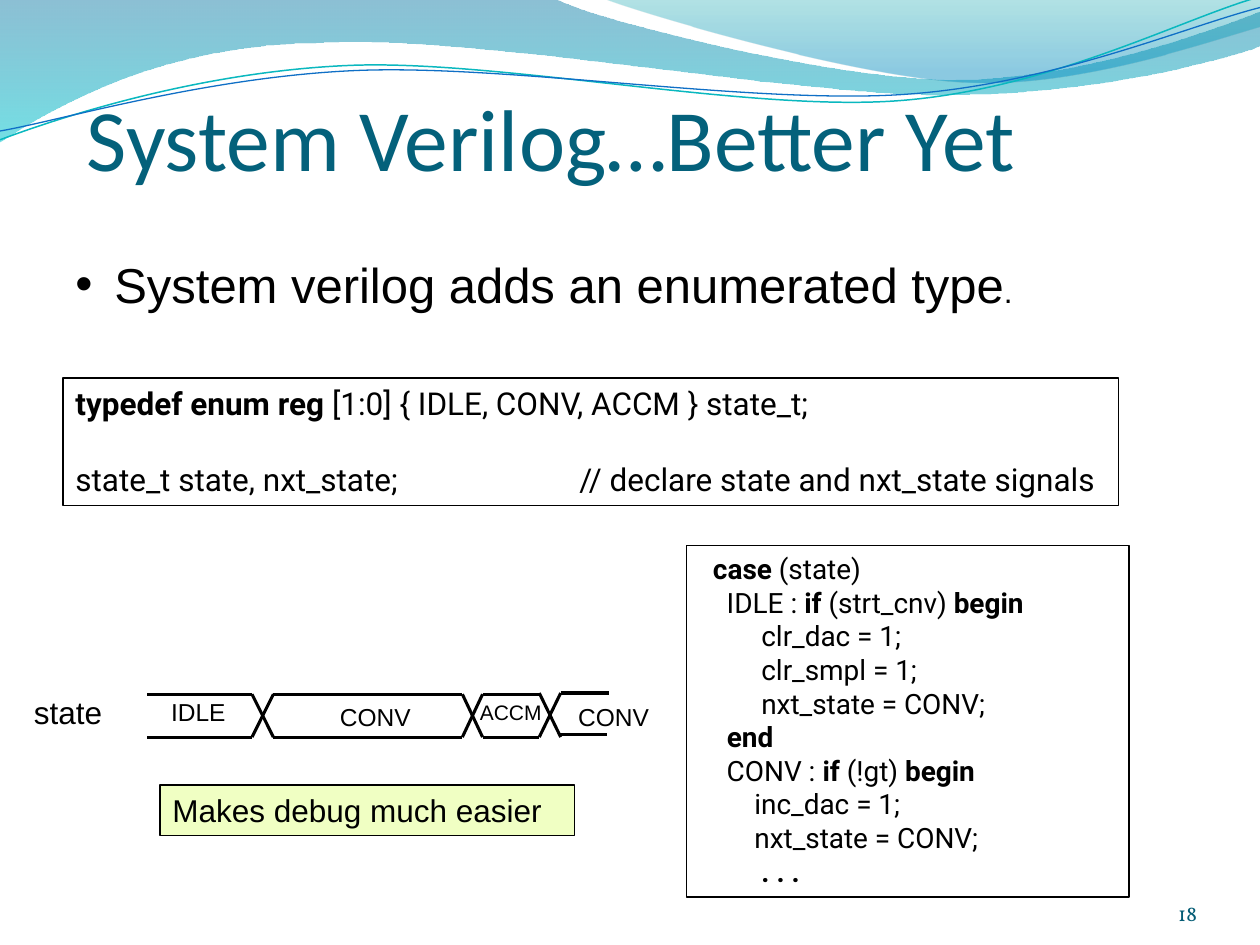
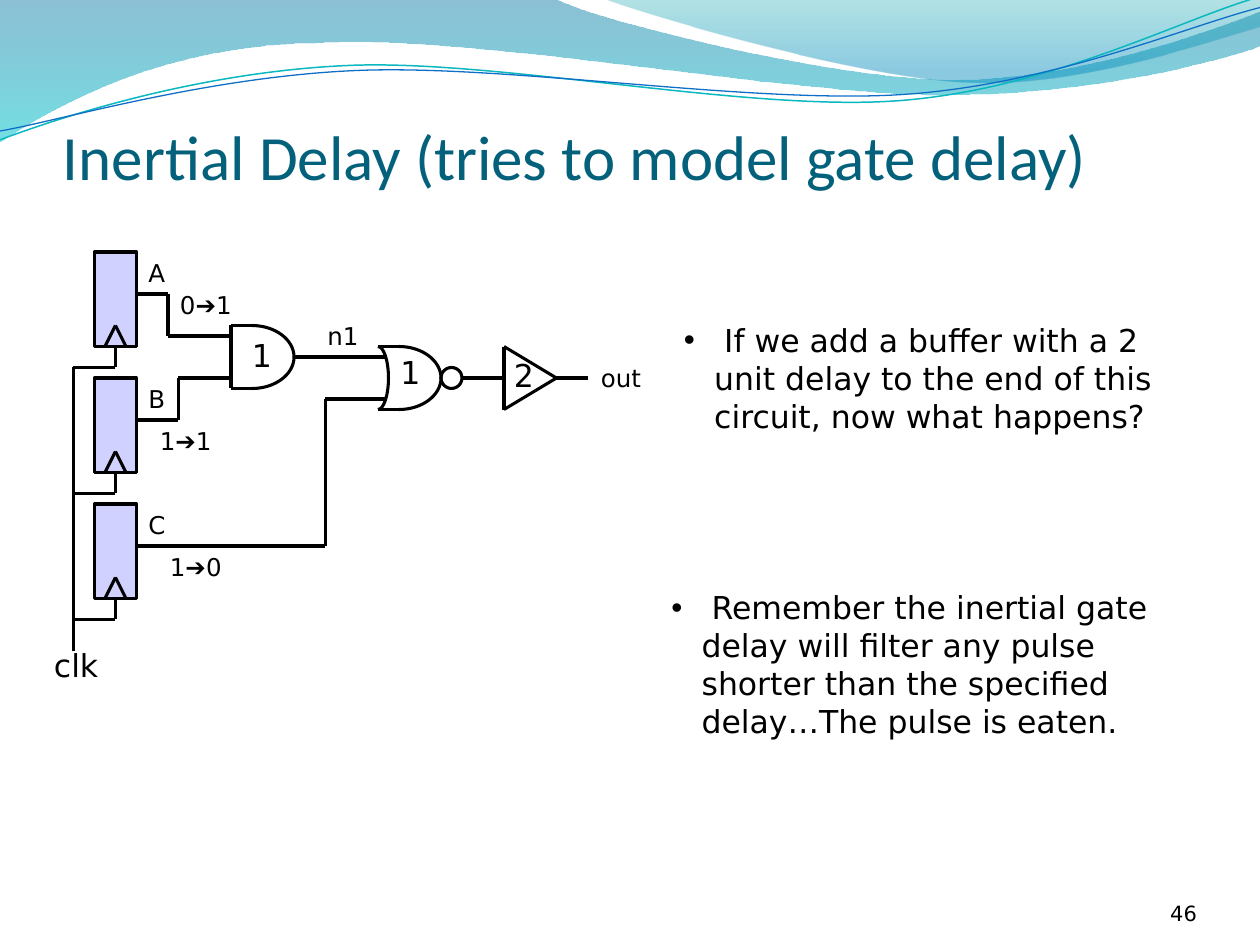
from lxml import etree
from pptx import Presentation
from pptx.dml.color import RGBColor
from pptx.enum.shapes import MSO_CONNECTOR, MSO_SHAPE
from pptx.enum.text import MSO_ANCHOR, MSO_AUTO_SIZE, PP_ALIGN
from pptx.oxml.ns import qn
from pptx.util import Inches, Pt

STRAIGHT = MSO_CONNECTOR.STRAIGHT
RECTANGLE, OVAL = MSO_SHAPE.RECTANGLE, MSO_SHAPE.OVAL
TOP, BOTTOM = MSO_ANCHOR.TOP, MSO_ANCHOR.BOTTOM
LEFT, RIGHT = PP_ALIGN.LEFT, PP_ALIGN.RIGHT
GROW, FIXED = MSO_AUTO_SIZE.SHAPE_TO_FIT_TEXT, MSO_AUTO_SIZE.NONE
BOTTOM_SITE = 2

COLORS = {
    "ink": "000000", "title": "04617B", "page": "045C75",
    "register": "6969FF", "note": "D1FF47",
    "wave_blue": "0074A1", "wave_cyan": "00C6CF",
    "crest_teal": "00A1A9", "crest_blue": "008BBF",
    "line_teal": "0AB8BF", "line_blue": "0F6FC6",
}
SANS, CODE, DIAGRAM = "Arial", "Roboto", "DejaVu Sans"
STROKE = 1.75
BOX_INSETS = (0.1, 0.05, 0.1, 0.05)
GRID = 12  # the circuit lies on a grid of twelfths of an inch

# Each step is a corner (x, y) or a cubic curve (x1, y1, x2, y2, x, y).
BAND = [(0, -0.01), (4.4, -0.01), (4.76, 0.17, 6.64, 0.63, 7.58, 0.63),
        (8.53, 0.63, 9.58, 0.26, 10, 0.09), (10.01, 0.36),
        (9.83, 0.44, 8.7, 0.76, 7.46, 0.75), (6.22, 0.75, 3.82, 0.28, 2.57, 0.34),
        (1.29, 0.35, 0.46, 0.83, -0.01, 1.13)]
CREST = [(4.79, -0.01), (5.09, 0.11, 6.82, 0.62, 7.69, 0.65),
         (8.56, 0.69, 9.61, 0.32, 10, 0.21), (10, 0)]
TEAL_LINE = [(0, 1.11), (0.48, 0.93, 1.58, 0.57, 2.77, 0.52),
             (3.95, 0.47, 5.93, 0.89, 7.13, 0.8), (8.33, 0.71, 9.38, 0.15, 9.98, -0.02)]
BLUE_LINE = [(0, 1.04), (0.47, 0.96, 1.64, 0.61, 2.83, 0.56),
             (4.03, 0.51, 5.97, 0.83, 7.17, 0.75), (8.36, 0.67, 9.41, 0.21, 10, 0.06)]

TYPEDEF = ["*typedef enum reg *[1:0] { IDLE, CONV, ACCM } state_t;",
           "state_t state, nxt_state;\t// declare state and nxt_state signals"]
CASE = ["*  case* (state)",
        "    IDLE : *if *(strt_cnv) *begin*",
        "         clr_dac = 1;",
        "         clr_smpl = 1;",
        "         nxt_state = CONV;",
        "    *end*",
        "    CONV : *if *(!gt) *begin*",
        "        inc_dac = 1;",
        "        nxt_state = CONV;",
        "         *. . .*"]


def rgb(name):
    return RGBColor.from_string(COLORS[name])


def set_alpha(shape, *percents):
    """Give the fill colours of a shape their opacity, in order."""
    colors = shape._element.spPr.xpath("./a:solidFill/a:srgbClr | ./a:gradFill//a:srgbClr")
    for color, percent in zip(colors, percents):
        etree.SubElement(color, qn("a:alpha")).set("val", str(percent * 1000))


def style_line(line, color="ink", width=STROKE):
    line.color.rgb = rgb(color)
    line.width = Pt(width)


def bend(outline, steps):
    """Turn each three segments that stand for a curve into one cubic curve."""
    segments = iter(outline._element.xpath(".//a:lnTo"))
    for step in steps[1:]:
        first = next(segments)
        if len(step) == 2:
            continue
        curve = etree.Element(qn("a:cubicBezTo"))
        first.addprevious(curve)
        for segment in (first, next(segments), next(segments)):
            curve.append(segment[0])
            segment.getparent().remove(segment)


def add_outline(slide, steps, close=False, color="ink", width=STROKE):
    points = [(Inches(x), Inches(y)) for step in steps
              for x, y in zip(step[::2], step[1::2])]
    builder = slide.shapes.build_freeform(*points[0])
    builder.add_line_segments(points[1:], close=close)
    outline = builder.convert_to_shape()
    bend(outline, steps)
    outline.shadow.inherit = False
    outline.fill.background()
    style_line(outline.line, color, width)
    return outline


def add_wave(slide, steps, stops):
    """Fill an outline downwards; each stop is position, colour, opacity."""
    wave = add_outline(slide, steps, close=True)
    wave.line.fill.background()
    wave.fill.gradient()
    wave.fill.gradient_angle = 270
    for stop, (position, color, _) in zip(wave.fill.gradient_stops, stops):
        stop.position = position
        stop.color.rgb = rgb(color)
    set_alpha(wave, *(opacity for _, _, opacity in stops))


def add_shape(slide, kind, box, fill=None, alpha=100, width=STROKE):
    shape = slide.shapes.add_shape(kind, *map(Inches, box))
    shape.shadow.inherit = False
    if fill:
        shape.fill.solid()
        shape.fill.fore_color.rgb = rgb(fill)
        set_alpha(shape, alpha)
    else:
        shape.fill.background()
    style_line(shape.line, width=width)
    return shape


def add_wire(slide, *points, source=None, grid=1):
    """Join points by straight lines, the first one from the bottom of source."""
    for start, end in zip(points, points[1:]):
        ends = [Inches(value / grid) for value in start + end]
        wire = slide.shapes.add_connector(STRAIGHT, *ends)
        etree.SubElement(wire._element.spPr, qn("a:effectLst"))
        style_line(wire.line)
        if source is not None:
            wire.begin_connect(source, BOTTOM_SITE)
            source = None


def add_arc(slide, left, edge, width, axis):
    """Draw a quarter ellipse from (left, edge) to its tip on the axis, in grid units."""
    right = left + width
    steps = [(left, edge), (left + 0.55 * width, edge,
                            right, edge + 0.45 * (axis - edge), right, axis)]
    add_outline(slide, [[value / GRID for value in step] for step in steps])


def set_bullet(paragraph, indent):
    properties = paragraph._p.get_or_add_pPr()
    properties.set("marL", str(Inches(indent)))
    properties.set("indent", str(-Inches(indent)))
    etree.SubElement(properties, qn("a:buFont")).set("typeface", SANS)
    etree.SubElement(properties, qn("a:buChar")).set("char", "•")


def set_tab(paragraph, position):
    tabs = etree.SubElement(paragraph._p.get_or_add_pPr(), qn("a:tabLst"))
    etree.SubElement(tabs, qn("a:tab"), pos=str(Inches(position)), algn="l")


def write(shape, lines, font=SANS, size=18, color="ink", wrap=True, align=LEFT,
          anchor=TOP, insets=BOX_INSETS, fit=GROW, gap=0, bullet=None, tab=None):
    """Write lines into a shape; *stars* mark bold, a (text, size) run its own size."""
    frame = shape.text_frame
    frame.auto_size = fit
    frame.word_wrap = wrap
    frame.vertical_anchor = anchor
    (frame.margin_left, frame.margin_top,
     frame.margin_right, frame.margin_bottom) = map(Inches, insets)
    for number, line in enumerate(lines):
        paragraph = frame.add_paragraph() if number else frame.paragraphs[0]
        paragraph.alignment = align
        if number and gap:
            paragraph.space_before = Pt(gap)
        if bullet:
            set_bullet(paragraph, bullet)
        if tab:
            set_tab(paragraph, tab)
        for text, run_size in [(line, size)] if isinstance(line, str) else line:
            for part, piece in enumerate(text.split("*")):
                if not piece:
                    continue
                run = paragraph.add_run()
                run.text = piece
                run.font.name = font
                run.font.size = Pt(run_size)
                run.font.bold = part % 2 == 1
                run.font.color.rgb = rgb(color)


def add_text(slide, box, *lines, **style):
    write(slide.shapes.add_textbox(*map(Inches, box)), lines, **style)


def add_label(slide, box, text, **style):
    add_text(slide, box, text, wrap=False, **style)


def new_slide(deck, title, title_box, title_size, page, **page_style):
    slide = deck.slides.add_slide(deck.slide_layouts[6])
    add_wave(slide, BAND, [(0, "wave_blue", 45), (1, "wave_cyan", 55)])
    add_wave(slide, CREST, [(0, "crest_teal", 30), (0.8, "crest_blue", 45)])
    add_outline(slide, TEAL_LINE, color="line_teal", width=0.85)
    add_outline(slide, BLUE_LINE, color="line_blue", width=0.75)
    add_text(slide, title_box, title, font="Calibri", size=title_size, color="title",
             anchor=BOTTOM, insets=(0, 0.05, 0, 0), fit=FIXED)
    add_text(slide, (8.67, 6.95, 0.83, 0.4), page, size=12, align=RIGHT,
             anchor=BOTTOM, insets=(0, 0, 0, 0), fit=FIXED, **page_style)
    return slide


def add_state_trace(slide):
    low = 5.85
    for start, end, high in [(2, 2.17, 5.51), (3.67, 3.83, 5.51), (4.28, 4.45, 5.5)]:
        add_wire(slide, (start, high), (end, low))
        add_wire(slide, (start, low), (end, high))
    for start, end in [(1.17, 2), (2.17, 3.67), (3.83, 4.28)]:
        for level in (5.51, low):
            add_wire(slide, (start, level), (end, level))
    add_wire(slide, (4.45, 5.5), (4.83, 5.5))
    add_wire(slide, (4.44, 5.83), (4.82, 5.83))
    add_label(slide, (0.17, 5.45, 0.75, 0.4), "state")
    add_label(slide, (1.26, 5.48, 0.64, 0.34), "IDLE", size=14)
    add_label(slide, (3.71, 5.5, 0.7, 0.3), "ACCM", size=12)
    for left in (2.6, 4.49):
        add_label(slide, (left, 5.52, 0.77, 0.34), "CONV", size=14)


def add_register(slide, top, name):
    """Draw a flip-flop with its clock branch and output name."""
    register = add_shape(slide, RECTANGLE, (0.75, top, 4 / GRID, 0.75), "register", 30)
    apex, foot, branch = (top * GRID + step for step in (7, 9, 11))
    for corner in (10, 12):
        add_wire(slide, (11, apex), (corner, foot), grid=GRID)
    add_wire(slide, (11, foot), (11, branch), (7, branch), source=register, grid=GRID)
    add_label(slide, (1.08, top, 0.34, 0.33), name, font=DIAGRAM, size=14)


def add_circuit(slide):
    for top, name in enumerate("ABC", start=2):
        add_register(slide, top, name)
    for left, top, change in [(1.33, 2.25, "0➔1"), (1.17, 3.33, "1➔1"), (1.25, 4.33, "1➔0")]:
        add_label(slide, (left, top, 0.66, 0.33), change, font=DIAGRAM, size=14)
    for left, width, axis in [(24, 4, 34), (38, 4, 36), (36, 1, 36)]:
        for edge in (axis - 3, axis + 3):
            add_arc(slide, left, edge, width, axis)
    add_shape(slide, OVAL, (3.5, 35 / GRID, 2 / GRID, 2 / GRID))
    for wire in [
        [(7, 35), (7, 62)],
        [(13, 28), (16, 28), (16, 32), (20, 32), (22, 32)],
        [(13, 40), (17, 40), (17, 36), (20, 36), (22, 36)],
        [(13, 52), (16, 52), (31, 52), (31, 38), (34, 38), (36.7, 38)],
        [(24, 31), (22, 31), (22, 37), (24, 37)],
        [(28, 34), (30, 34), (34, 34), (36.7, 34)],
        [(38, 33), (36, 33)],
        [(38, 39), (36, 39)],
        [(44, 36), (46, 36), (48, 36)],
        [(53, 36), (48, 33), (48, 39), (53, 36), (56, 36)],
    ]:
        add_wire(slide, *wire, grid=GRID)
    for left, top, delay in [(1.9, 2.62, "1"), (3.08, 2.75, "1"), (3.98, 2.78, "2")]:
        add_label(slide, (left, top, 0.36, 0.4), delay, font=DIAGRAM)
    add_label(slide, (0.33, 5.08, 0.55, 0.4), "clk", font=DIAGRAM)
    add_label(slide, (2.5, 2.5, 0.45, 0.33), "n1", font=DIAGRAM, size=14)
    add_label(slide, (4.67, 2.83, 0.52, 0.33), "out", font=DIAGRAM, size=14)


def build_enum_slide(deck):
    slide = new_slide(deck, "System Verilog…Better Yet", (0.69, 0.25, 8, 1.25), 50,
                      "18", font="Vollkorn", color="page")
    add_label(slide, (0.5, 1.97, 7.74, 0.57),
              [("System verilog adds an enumerated type", 28), (".", 18)], bullet=0.31)
    typedef = add_shape(slide, RECTANGLE, (0.5, 3, 8.38, 1.01), width=0.75)
    write(typedef, TYPEDEF, font=CODE, gap=21.5, tab=4)
    case = add_shape(slide, RECTANGLE, (5.45, 4.33, 3.51, 2.79), width=0.75)
    write(case, CASE, font=CODE, size=16)
    add_state_trace(slide)
    note = add_shape(slide, RECTANGLE, (1.27, 6.23, 3.29, 0.4), "note", 32, width=0.75)
    write(note, ["Makes debug much easier"])


def build_delay_slide(deck):
    slide = new_slide(deck, "Inertial Delay (tries to model gate delay)",
                      (0.5, 0.28, 9, 1.25), 36, "46", font=DIAGRAM)
    add_circuit(slide)
    add_text(slide, (5.33, 2.5, 4.02, 1.3),
             " If we add a buffer with a 2 unit delay to the end of this circuit, "
             "now what happens?", font=DIAGRAM, bullet=0.24)
    add_text(slide, (5.23, 4.62, 4.02, 1.6),
             " Remember the inertial gate delay will filter any pulse shorter than "
             "the specified delay…The pulse is eaten.", font=DIAGRAM, bullet=0.24)


def main():
    deck = Presentation()
    deck.slide_width, deck.slide_height = Inches(10), Inches(7.5)
    build_enum_slide(deck)
    build_delay_slide(deck)
    deck.save("out.pptx")


if __name__ == "__main__":
    main()
